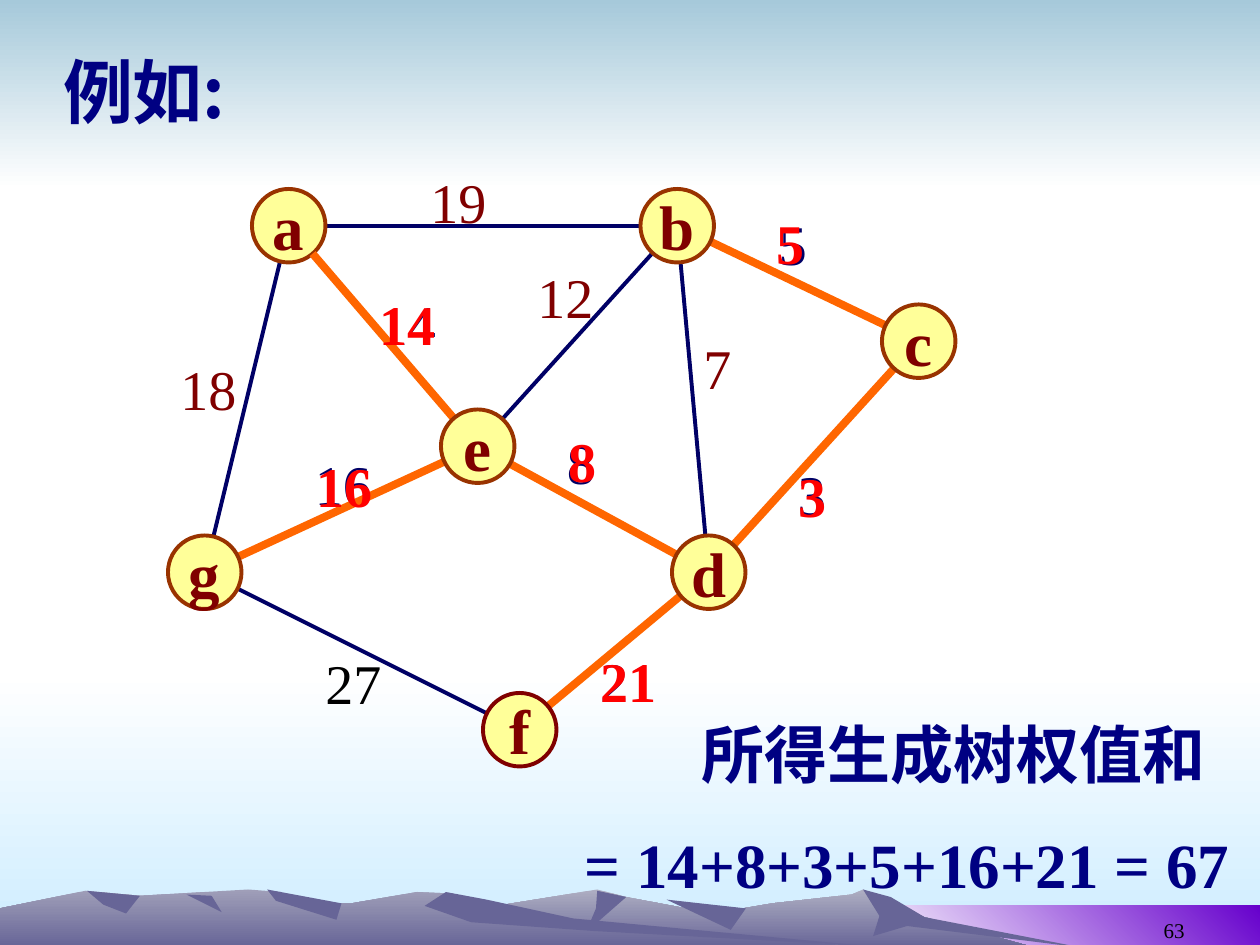
"""Build a slide that shows a minimum spanning tree on a weighted graph."""
from math import hypot

from lxml import etree
from pptx import Presentation
from pptx.dml.color import RGBColor
from pptx.enum.shapes import MSO_CONNECTOR, MSO_SHAPE
from pptx.enum.text import MSO_ANCHOR, MSO_AUTO_SIZE, PP_ALIGN
from pptx.oxml.ns import qn
from pptx.util import Inches, Pt

STRAIGHT = MSO_CONNECTOR.STRAIGHT
OVAL, RECTANGLE = MSO_SHAPE.OVAL, MSO_SHAPE.RECTANGLE
TOP, MIDDLE, BOTTOM = MSO_ANCHOR.TOP, MSO_ANCHOR.MIDDLE, MSO_ANCHOR.BOTTOM
GROW = MSO_AUTO_SIZE.SHAPE_TO_FIT_TEXT
LEFT, CENTER, RIGHT = PP_ALIGN.LEFT, PP_ALIGN.CENTER, PP_ALIGN.RIGHT

THEME = {
    "latin": "Times New Roman", "asian": "Noto Sans CJK SC",
    "title": 40, "node": 36, "sum": 36, "weight": 32, "number": 12,
    "navy": "000082", "edge": "000066", "tree": "FF6600", "red": "FF0000",
    "maroon": "800000", "rust": "993300", "yellow": "FFFF99", "black": "000000",
    "white": "FFFFFF", "sky": "A6C9DA", "ice": "CCECFF", "violet": "6600CC",
    "rock": "676597", "far_rock": "AEAEC2", "near_rock": "9F9EB8",
    "line": 2.25, "tree_line": 4.5,
}
DOWN, UP_RIGHT = 270, 45
COLUMNS, ROWS = 120, 90
NODE = 7
RADIUS = NODE / 2


def write(shape, text, size, color, bold=True, align=LEFT, anchor=TOP, font="latin"):
    """Put one formatted run into a shape."""
    frame = shape.text_frame
    frame.word_wrap = False
    frame.vertical_anchor = anchor
    para = frame.paragraphs[0]
    para.alignment = align
    span = para.add_run()
    span.text = text
    span.font.name = THEME[font]
    span.font.size = Pt(THEME[size])
    span.font.bold = bold
    span.font.color.rgb = RGBColor.from_string(THEME[color])
    asian = etree.SubElement(span.font._element, qn("a:ea"))
    asian.set("typeface", THEME["asian"])
    return frame


def paint(shape, colors, angle=DOWN):
    """Fill a borderless shape with one colour or a two-colour gradient."""
    shape.shadow.inherit = False
    shape.line.fill.background()
    if len(colors) == 1:
        shape.fill.solid()
        shape.fill.fore_color.rgb = RGBColor.from_string(THEME[colors[0]])
        return
    shape.fill.gradient()
    shape.fill.gradient_angle = angle
    for stop, color, position in zip(shape.fill.gradient_stops, colors, (0, 1)):
        stop.color.rgb = RGBColor.from_string(THEME[color])
        stop.position = position


deck = Presentation()
deck.slide_width, deck.slide_height = Inches(10), Inches(7.5)
col, row = deck.slide_width // COLUMNS, deck.slide_height // ROWS
page = deck.slides.add_slide(deck.slide_layouts[5])
shapes = page.shapes

bands = [
    (0, 64, ROWS, ["white", "ice"], DOWN),
    (0, 0, 18, ["sky", "white"], DOWN),
    (82, 86.25, ROWS, ["white", "violet"], UP_RIGHT),
]
for left, top, bottom, colors, angle in bands:
    band = shapes.add_shape(RECTANGLE, left * col, int(top * row),
                            (COLUMNS - left) * col, int((bottom - top) * row))
    paint(band, colors, angle)

mountains = [
    (["far_rock", "rock"], [
        (821, 752), (258, 752), (355, 725), (394, 719), (474, 706), (497, 712),
        (566, 725), (613, 717), (676, 710), (685, 706), (723, 725)]),
    (["rock"], [
        (685, 706), (707, 712), (734, 728), (858, 752), (720, 735), (693, 743), (698, 727)]),
    (["rock"], [(474, 707), (497, 712), (465, 740), (473, 721)]),
    (["rock"], [(529, 714), (592, 721), (580, 738)]),
    (["near_rock", "rock"], [
        (0, 752), (0, 721), (68, 707), (111, 711), (197, 706), (223, 708),
        (236, 717), (279, 717), (331, 708), (354, 709), (432, 732), (690, 752)]),
    (["rock"], [(212, 706), (271, 717), (267, 730), (219, 715)]),
    (["rock"], [
        (354, 708), (386, 714), (455, 729), (690, 751), (472, 739), (374, 732), (337, 719)]),
    (["rock"], [(148, 710), (168, 711), (176, 724)]),
    (["rock"], [(69, 707), (111, 711), (100, 725), (82, 718)]),
]
for colors, outline in mountains:
    builder = shapes.build_freeform(*outline[0], scale=Inches(0.01))
    builder.add_line_segments(outline[1:], close=True)
    paint(builder.convert_to_shape(), colors)

title = shapes.title
title.left, title.top = int(4.8 * col), 4 * row
title.width, title.height = int(19.2 * col), int(9.2 * row)
write(title, "例如:", "title", "navy", font="asian").auto_size = GROW
title.element.getparent().append(title.element)

number = shapes.add_textbox(86 * col, int(84.4 * row), 28 * col, 6 * row)
write(number, "63", "number", "black", False, RIGHT, BOTTOM).word_wrap = True

nodes = {
    "a": (24, 18), "b": (61, 18), "g": (16, 51), "f": (46, 66),
    "e": (42, 39), "d": (64, 51), "c": (84, 29),
}
other_edges = [
    ("ab", "19", 39.8, 15.4, "maroon"), ("be", "12", 50, 24.4, "maroon"),
    ("ag", "18", 16, 33.2, "maroon"), ("bd", "7", 65.8, 31.2, "maroon"),
    ("gf", "27", 29.8, 61.2, "black"),
]
tree_edges = [
    ("ae", "14", 35, 27, "edge"), ("ed", "8", 52.8, 40.2, "edge"),
    ("cd", "3", 74.8, 43.2, "edge"), ("bc", "5", 73, 19.4, "edge"),
    ("ge", "16", 28.8, 42.2, "edge"), ("df", "21", 56, 61, "edge"),
]
chosen_edges = [(ends, value, left, top, "red") for ends, value, left, top, _ in tree_edges]
nudges = {"8": (0.2, -0.2), "5": (-0.2, -0.1), "3": (0.1, 0.2), "16": (0.2, 0.2)}
stages = [
    (other_edges + tree_edges, "edge", "line", "a", False),
    (chosen_edges, "tree", "tree_line", "bgfedc", True),
]
for edges, edge_color, edge_width, names, chosen in stages:
    for (start, end), *_ in edges:
        (x1, y1), (x2, y2) = nodes[start], nodes[end]
        trim = RADIUS / hypot(x2 - x1, y2 - y1)
        dx, dy = (x2 - x1) * trim, (y2 - y1) * trim
        edge = shapes.add_connector(
            STRAIGHT, int((x1 + RADIUS + dx) * col), int((y1 + RADIUS + dy) * row),
            int((x2 + RADIUS - dx) * col), int((y2 + RADIUS - dy) * row))
        edge.line.color.rgb = RGBColor.from_string(THEME[edge_color])
        edge.line.width = Pt(THEME[edge_width])
        etree.SubElement(edge.element.spPr, qn("a:effectLst"))
    for name in names:
        left, top = nodes[name]
        node = shapes.add_shape(OVAL, left * col, top * row, NODE * col, NODE * row)
        paint(node, ["yellow"])
        node.line.color.rgb = RGBColor.from_string(THEME["maroon" if name == "f" else "rust"])
        node.line.width = Pt(THEME["line"])
        write(node, name, "node", "maroon", align=CENTER, anchor=MIDDLE)
    for _, value, left, top, color in edges:
        right_by, down_by = nudges.get(value, (0, 0)) if chosen else (0, 0)
        width = 5 if len(value) == 1 else 7.8
        box = shapes.add_textbox(int((left + right_by) * col), int((top + down_by) * row),
                                 int(width * col), int(7.6 * row))
        write(box, value, "weight", color, chosen).auto_size = GROW

sums = [("所得生成树权值和", 65.6, 67.6, 50.6), ("= 14+8+3+5+16+21 = 67", 54.5, 78, 63.8)]
for text, left, top, width in sums:
    box = shapes.add_textbox(int(left * col), int(top * row), int(width * col), int(8.4 * row))
    write(box, text, "sum", "navy").auto_size = GROW

deck.save("out.pptx")
